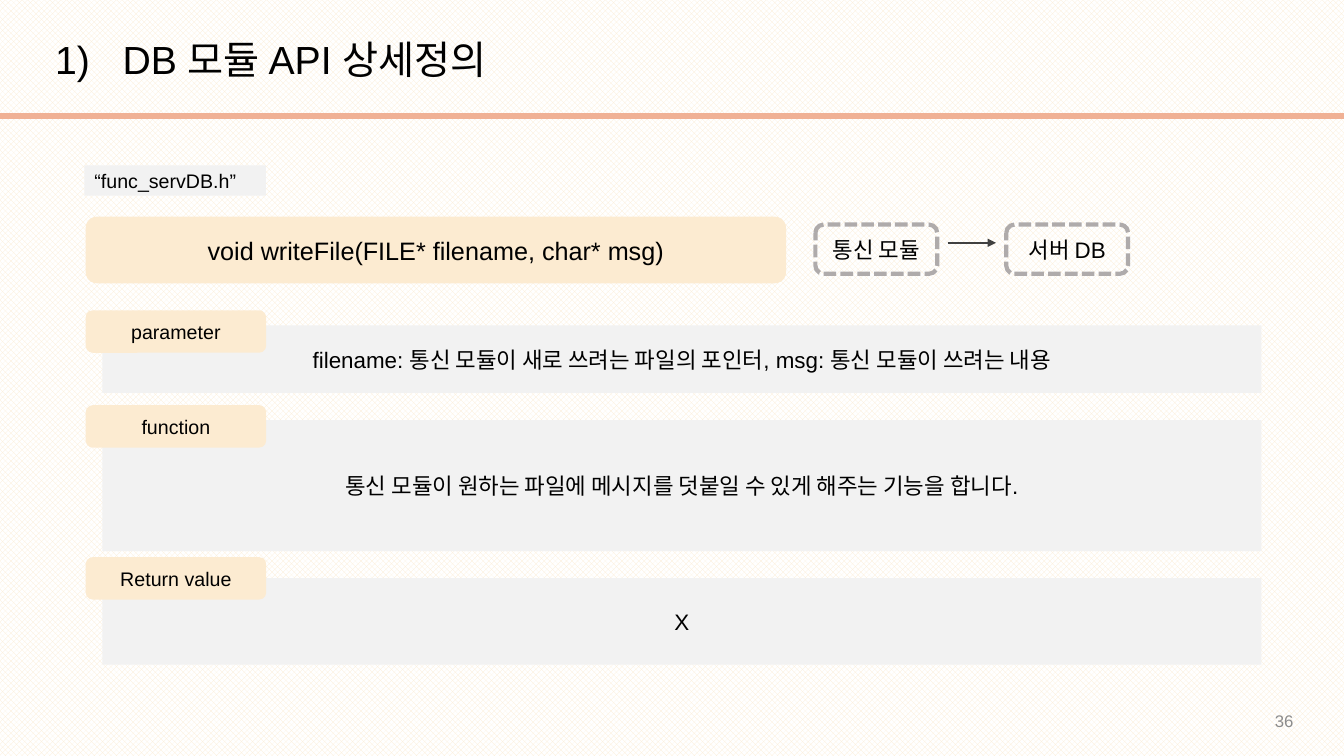
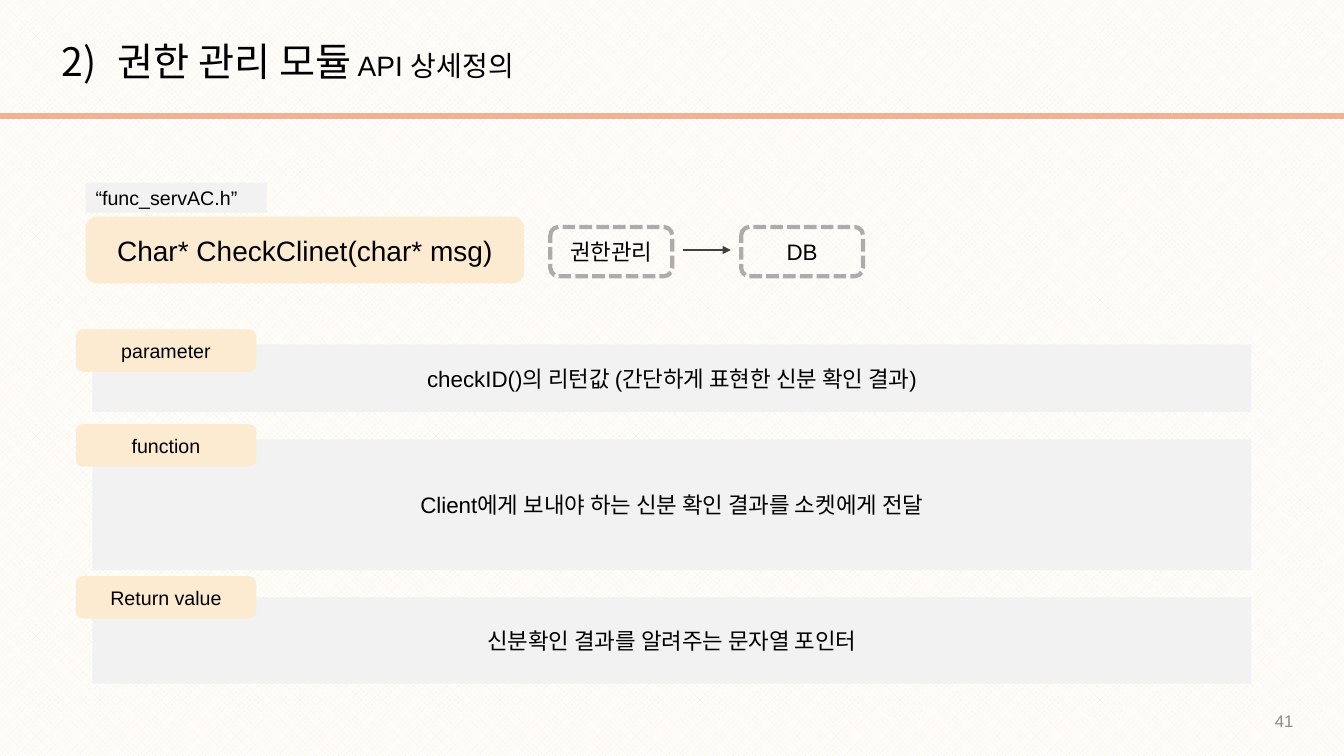
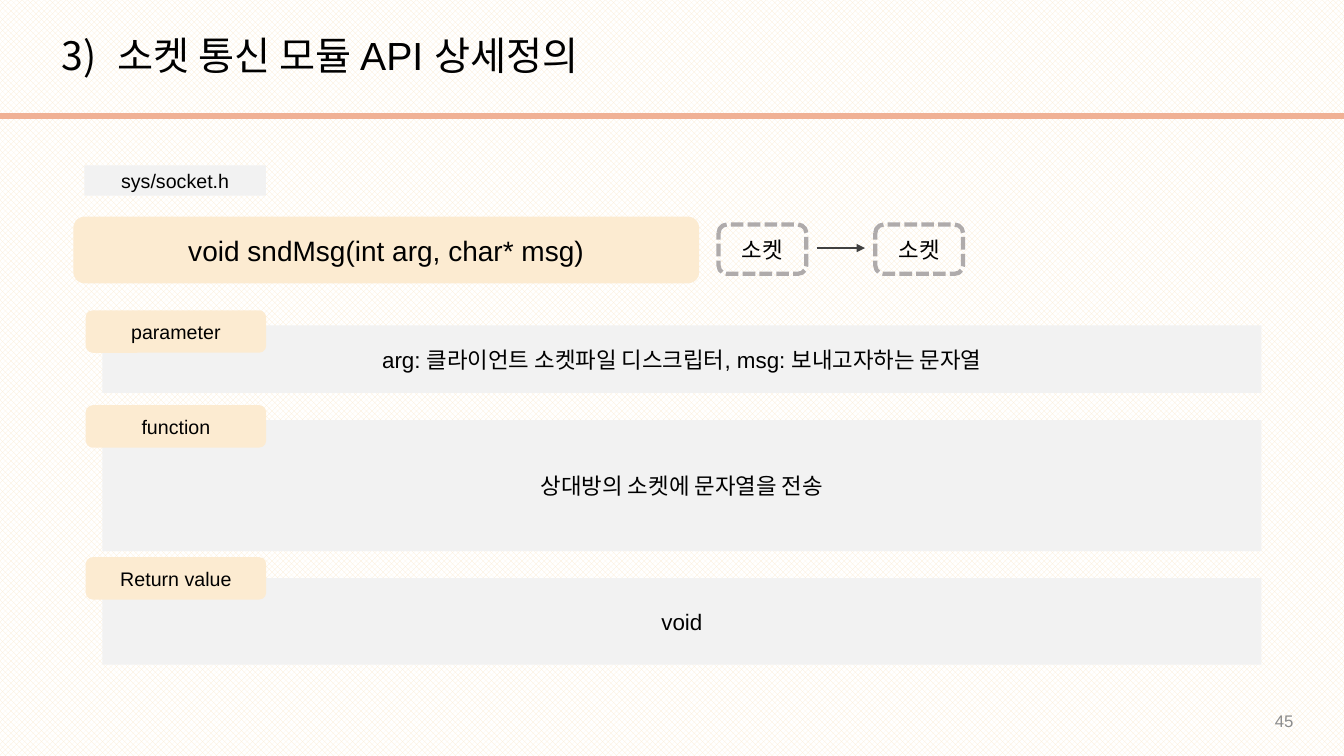
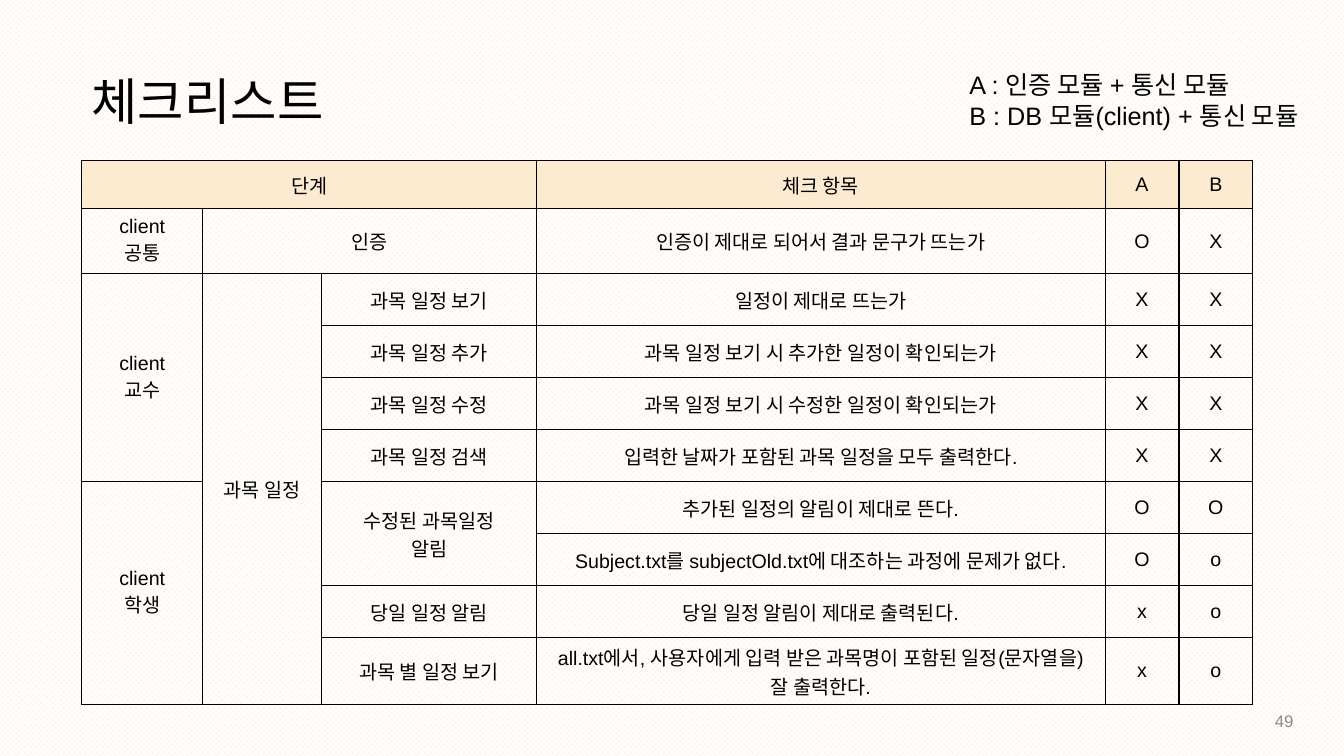
from dataclasses import dataclass
from typing import Optional

from lxml import etree
from pptx import Presentation
from pptx.dml.color import RGBColor
from pptx.enum.dml import MSO_LINE_DASH_STYLE as Dash, MSO_PATTERN_TYPE as Pattern
from pptx.enum.shapes import MSO_CONNECTOR as Connector, MSO_SHAPE as Preset
from pptx.enum.text import MSO_ANCHOR as Anchor, PP_ALIGN as Align
from pptx.oxml.ns import qn
from pptx.util import Cm, Pt

# Shared style
FONT = "Arial"
BLACK = RGBColor(0x00, 0x00, 0x00)
WHITE = RGBColor(0xFF, 0xFF, 0xFF)
CREAM = RGBColor(0xFC, 0xEB, 0xD1)
PANEL_GRAY = RGBColor(0xF2, 0xF2, 0xF2)
SALMON = RGBColor(0xF0, 0xB1, 0x95)
DASH_GRAY = RGBColor(0xAF, 0xAB, 0xAB)
ARROW_GRAY = RGBColor(0x40, 0x40, 0x40)
NUMBER_GRAY = RGBColor(0x8C, 0x8C, 0x8C)
SLIDE_WIDTH, SLIDE_HEIGHT = 33.87, 19.05


@dataclass(frozen=True)
class Box:
    """Position and size in centimetres."""
    left: float
    top: float
    width: float
    height: float

    def lengths(self) -> tuple:
        return Cm(self.left), Cm(self.top), Cm(self.width), Cm(self.height)


@dataclass(frozen=True)
class Title:
    number: int
    text: str
    left: float
    top: float
    indent: float = 1.42
    small_text: str = ""


@dataclass(frozen=True)
class Flow:
    """Two dashed module boxes with an arrow from one to the other."""
    source: str
    target: str
    left: float
    top: float
    width: float
    arrow_top: float


@dataclass(frozen=True)
class Section:
    label: str
    tab_offset: float
    panel_drop: float
    panel_height: float


@dataclass(frozen=True)
class ApiPage:
    page_number: int
    title: Title
    header_file: str
    header_box: Box
    header_align: Align
    signature: str
    signature_box: Box
    signature_size: int
    flow: Flow
    stack_left: float
    stack_top: float
    details: tuple


SECTIONS = (
    Section("parameter", 0, 0.38, 1.7),
    Section("function", 2.39, 0.38, 3.3),
    Section("Return value", 6.22, 0.53, 2.18),
)

API_PAGES = (
    ApiPage(36, Title(1, "DB 모듈 API 상세정의", 1.14, 0.9, 1.7),
            "“func_servDB.h”", Box(2.13, 4.17, 4.57, 0.76), Align.LEFT,
            "void writeFile(FILE* filename, char* msg)", Box(2.16, 5.46, 17.65, 1.68), 18,
            Flow("통신 모듈", "서버 DB", 20.55, 5.66, 3.07, 6.12),
            2.16, 7.82,
            ("filename: 통신 모듈이 새로 쓰려는 파일의 포인터, msg: 통신 모듈이 쓰려는 내용",
             "통신 모듈이 원하는 파일에 메시지를 덧붙일 수 있게 해주는 기능을 합니다.",
             "X")),
    ApiPage(41, Title(2, "권한 관리 모듈", 1.3, 0.94, small_text=" API 상세정의"),
            "“func_servAC.h”", Box(2.16, 4.6, 4.57, 0.76), Align.LEFT,
            "Char* CheckClinet(char* msg)", Box(2.16, 5.46, 11.05, 1.68), 20,
            Flow("권한관리", "DB", 13.87, 5.72, 3.07, 6.3),
            1.91, 8.3,
            ("checkID()의 리턴값 (간단하게 표현한 신분 확인 결과)",
             "Client에게 보내야 하는 신분 확인 결과를 소켓에게 전달",
             "신분확인 결과를 알려주는 문자열 포인터")),
    ApiPage(45, Title(3, "소켓 통신 모듈 API 상세정의", 1.3, 0.79),
            "sys/socket.h", Box(2.13, 4.17, 4.57, 0.76), Align.CENTER,
            "void sndMsg(int arg, char* msg)", Box(1.85, 5.46, 15.77, 1.68), 20,
            Flow("소켓", "소켓", 18.11, 5.66, 2.21, 6.25),
            2.16, 7.82,
            ("arg: 클라이언트 소켓파일 디스크립터, msg: 보내고자하는 문자열",
             "상대방의 소켓에 문자열을 전송",
             "void")),
)

# Checklist: empty strings lie under merged cells
COLUMN_WIDTHS = (3.05, 3.0, 5.41, 14.33, 1.86, 1.86)
ROW_HEIGHTS = (1.22, 1.64) + (1.31,) * 7 + (1.68,)
MERGES = (((0, 0), (0, 2)), ((1, 1), (1, 2)), ((2, 0), (5, 0)),
          ((2, 1), (9, 1)), ((6, 0), (9, 0)), ((6, 2), (7, 2)))
CHECKLIST = (
    ("단계", "", "", "체크 항목", "A", "B"),
    ("client\n공통", "인증", "", "인증이 제대로 되어서 결과 문구가 뜨는가", "O", "X"),
    ("client\n교수", "과목 일정", "과목 일정 보기", "일정이 제대로 뜨는가", "X", "X"),
    ("", "", "과목 일정 추가", "과목 일정 보기 시 추가한 일정이 확인되는가", "X", "X"),
    ("", "", "과목 일정 수정", "과목 일정 보기 시 수정한 일정이 확인되는가", "X", "X"),
    ("", "", "과목 일정 검색", "입력한 날짜가 포함된 과목 일정을 모두 출력한다.", "X", "X"),
    ("client\n학생", "", "수정된 과목일정\n알림", "추가된 일정의 알림이 제대로 뜬다.", "O", "O"),
    ("", "", "", "Subject.txt를 subjectOld.txt에 대조하는 과정에 문제가 없다.", "O", "o"),
    ("", "", "당일 일정 알림", "당일 일정 알림이 제대로 출력된다.", "x", "o"),
    ("", "", "과목 별 일정 보기",
     "all.txt에서, 사용자에게 입력 받은 과목명이 포함된 일정(문자열을) 잘 출력한다.", "x", "o"),
)


# Text helpers
def style_paragraph(paragraph, size: int, align: Align = Align.LEFT,
                    color: RGBColor = BLACK) -> None:
    paragraph.alignment = align
    paragraph.font.name = FONT
    paragraph.font.size = Pt(size)
    paragraph.font.color.rgb = color


def write_text(frame, text: str, size: int, align: Align = Align.LEFT,
               color: RGBColor = BLACK) -> None:
    frame.text = text
    for paragraph in frame.paragraphs:
        style_paragraph(paragraph, size, align, color)


def add_text(slide, box: Box, text: str, size: int, align: Align = Align.LEFT,
             color: RGBColor = BLACK, anchor: Anchor = Anchor.TOP):
    frame = slide.shapes.add_textbox(*box.lengths()).text_frame
    frame.word_wrap = True
    frame.vertical_anchor = anchor
    write_text(frame, text, size, align, color)
    return frame


# Shape helpers
def add_block(slide, preset: Preset, box: Box, text: str, size: int,
              fill: Optional[RGBColor] = None, align: Align = Align.CENTER):
    shape = slide.shapes.add_shape(preset, *box.lengths())
    shape.shadow.inherit = False
    if fill is None:
        shape.fill.background()
    else:
        shape.fill.solid()
        shape.fill.fore_color.rgb = fill
    shape.line.fill.background()
    shape.text_frame.vertical_anchor = Anchor.MIDDLE
    write_text(shape.text_frame, text, size, align)
    return shape


def add_line(slide, left: float, right: float, top: float, color: RGBColor,
             width: float, arrow: bool = False) -> None:
    line = slide.shapes.add_connector(Connector.STRAIGHT, Cm(left), Cm(top), Cm(right), Cm(top))
    line.line.color.rgb = color
    line.line.width = Pt(width)
    if arrow:
        etree.SubElement(line.line._get_or_add_ln(), qn("a:tailEnd"), type="triangle")
    etree.SubElement(line._element.spPr, qn("a:effectLst"))


# Parts of the pages
def add_page(presentation, page_number: int):
    slide = presentation.slides.add_slide(presentation.slide_layouts[6])
    add_text(slide, Box(25.23, 17.66, 7.62, 1.01), str(page_number), 12,
             Align.RIGHT, NUMBER_GRAY, Anchor.MIDDLE)
    return slide


def add_title(slide, title: Title) -> None:
    box = Box(title.left, title.top, 31.29, 3.63)
    frame = slide.shapes.add_textbox(*box.lengths()).text_frame
    frame.word_wrap = True
    paragraph = frame.paragraphs[0]
    paragraph.line_spacing = 0.9
    properties = paragraph._p.get_or_add_pPr()
    properties.set("marL", str(Cm(title.indent)))
    properties.set("indent", str(-Cm(title.indent)))
    etree.SubElement(properties, qn("a:buFont"), typeface=FONT)
    etree.SubElement(properties, qn("a:buAutoNum"), type="arabicParenR",
                     startAt=str(title.number))
    style_paragraph(paragraph, 28)
    paragraph.add_run().text = title.text
    if title.small_text:
        run = paragraph.add_run()
        run.text = title.small_text
        run.font.size = Pt(20)
    add_line(slide, 0, SLIDE_WIDTH, 2.92, SALMON, 4)


def add_flow(slide, flow: Flow) -> None:
    gap, arrow_length = 0.26, 1.22
    arrow_left = flow.left + flow.width + gap
    arrow_right = arrow_left + arrow_length
    for name, left in ((flow.source, flow.left), (flow.target, arrow_right + gap)):
        module = add_block(slide, Preset.ROUNDED_RECTANGLE,
                           Box(left, flow.top, flow.width, 1.24), name, 16)
        module.line.color.rgb = DASH_GRAY
        module.line.width = Pt(3)
        module.line.dash_style = Dash.SQUARE_DOT
    add_line(slide, arrow_left, arrow_right, flow.arrow_top, ARROW_GRAY, 1.5, arrow=True)


def add_section(slide, section: Section, detail: str, left: float, stack_top: float) -> None:
    top = stack_top + section.tab_offset
    panel = Box(left + 0.42, top + section.panel_drop, 29.21, section.panel_height)
    add_block(slide, Preset.RECTANGLE, panel, detail, 16, PANEL_GRAY)
    add_block(slide, Preset.ROUNDED_RECTANGLE, Box(left, top, 4.55, 1.07),
              section.label, 14, CREAM)


def add_api_page(presentation, page: ApiPage) -> None:
    slide = add_page(presentation, page.page_number)
    add_title(slide, page.title)
    add_block(slide, Preset.RECTANGLE, page.header_box, page.header_file, 14,
              PANEL_GRAY, page.header_align)
    add_block(slide, Preset.ROUNDED_RECTANGLE, page.signature_box, page.signature,
              page.signature_size, CREAM)
    add_flow(slide, page.flow)
    for section, detail in zip(SECTIONS, page.details):
        add_section(slide, section, detail, page.stack_left, page.stack_top)


def add_borders(cell) -> None:
    properties = cell._tc.get_or_add_tcPr()
    for side in ("a:lnL", "a:lnR", "a:lnT", "a:lnB"):
        border = etree.SubElement(properties, qn(side), w=str(Pt(1)))
        fill = etree.SubElement(border, qn("a:solidFill"))
        etree.SubElement(fill, qn("a:srgbClr"), val=str(BLACK))


def add_checklist(slide) -> None:
    box = Box(2.06, 4.04, sum(COLUMN_WIDTHS), sum(ROW_HEIGHTS))
    table = slide.shapes.add_table(len(ROW_HEIGHTS), len(COLUMN_WIDTHS), *box.lengths()).table
    table.first_row = table.horz_banding = False
    for column, width in zip(table.columns, COLUMN_WIDTHS):
        column.width = Cm(width)
    for row, height in zip(table.rows, ROW_HEIGHTS):
        row.height = Cm(height)
    for first, last in MERGES:
        table.cell(*first).merge(table.cell(*last))
    for row_index, texts in enumerate(CHECKLIST):
        for column_index, text in enumerate(texts):
            cell = table.cell(row_index, column_index)
            cell.vertical_anchor = Anchor.MIDDLE
            add_borders(cell)
            if row_index == 0:
                cell.fill.solid()
                cell.fill.fore_color.rgb = CREAM
            else:
                cell.fill.background()
            write_text(cell.text_frame, text, 14, Align.CENTER)


def add_checklist_page(presentation) -> None:
    slide = add_page(presentation, 49)
    add_checklist(slide)
    heading = add_text(slide, Box(2.06, 1.63, 6.4, 1.8), "체크리스트", 36)
    heading.word_wrap = False
    legend = add_text(slide, Box(24.18, 1.63, 9.69, 1.8),
                      "A : 인증 모듈 + 통신 모듈\nB : DB 모듈(client) + 통신 모듈", 18)
    legend.margin_right = 0


def main() -> None:
    presentation = Presentation()
    presentation.slide_width, presentation.slide_height = Cm(SLIDE_WIDTH), Cm(SLIDE_HEIGHT)
    # Patterned background for every slide
    background = presentation.slide_master.background.fill
    background.patterned()
    background.pattern = Pattern.OUTLINED_DIAMOND
    background.fore_color.rgb = CREAM
    background.back_color.rgb = WHITE
    for page in API_PAGES:
        add_api_page(presentation, page)
    add_checklist_page(presentation)
    presentation.save("out.pptx")


if __name__ == "__main__":
    main()
